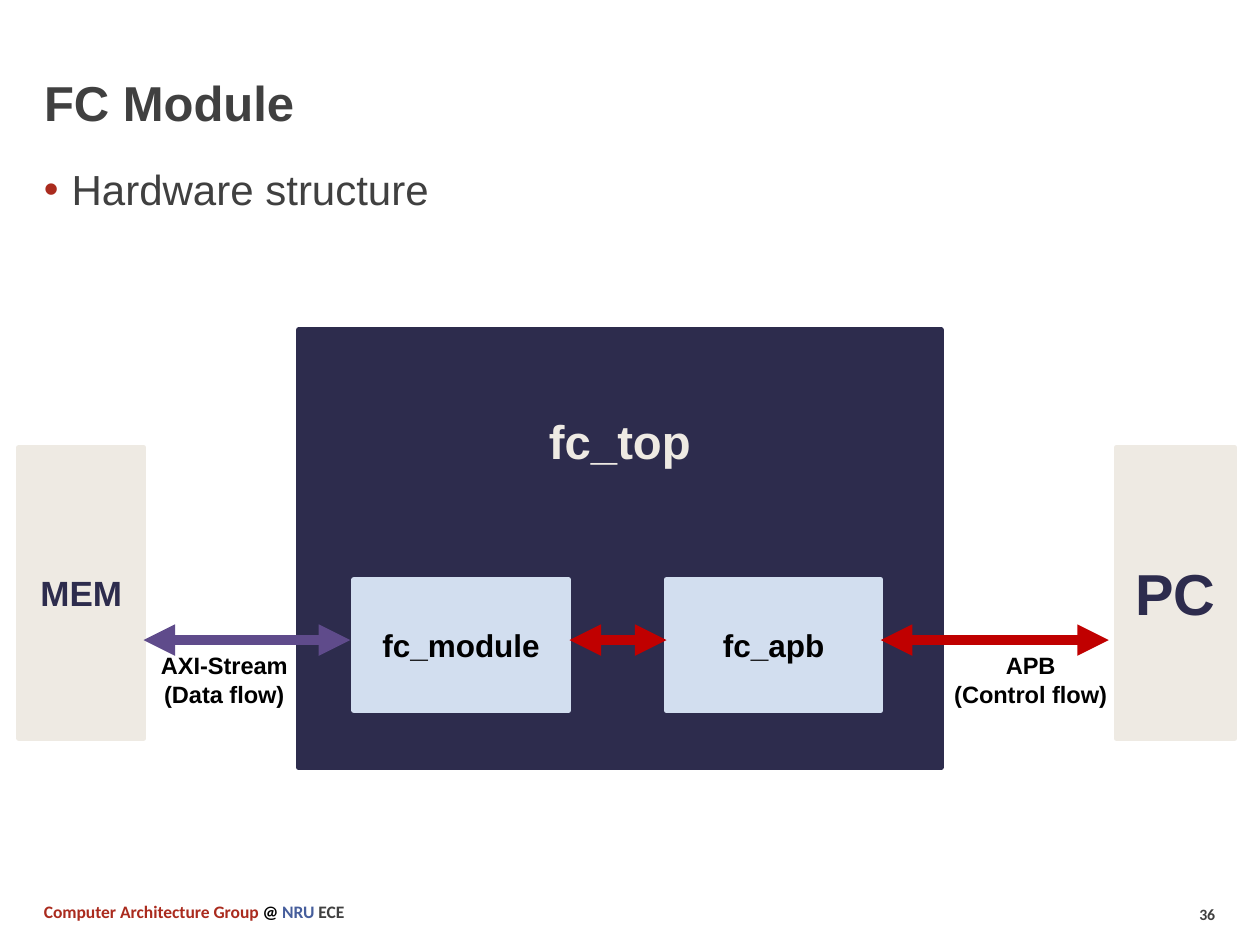
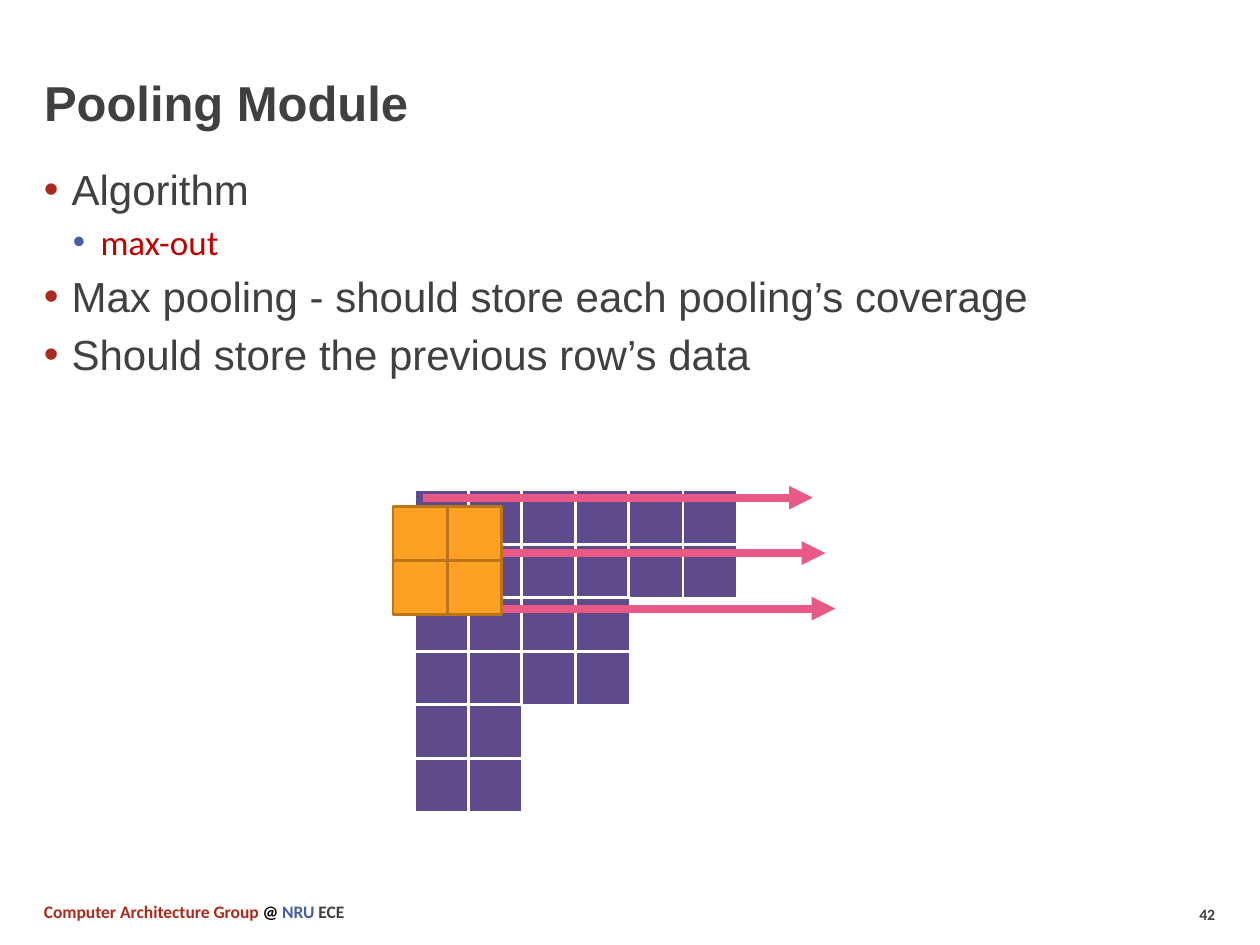
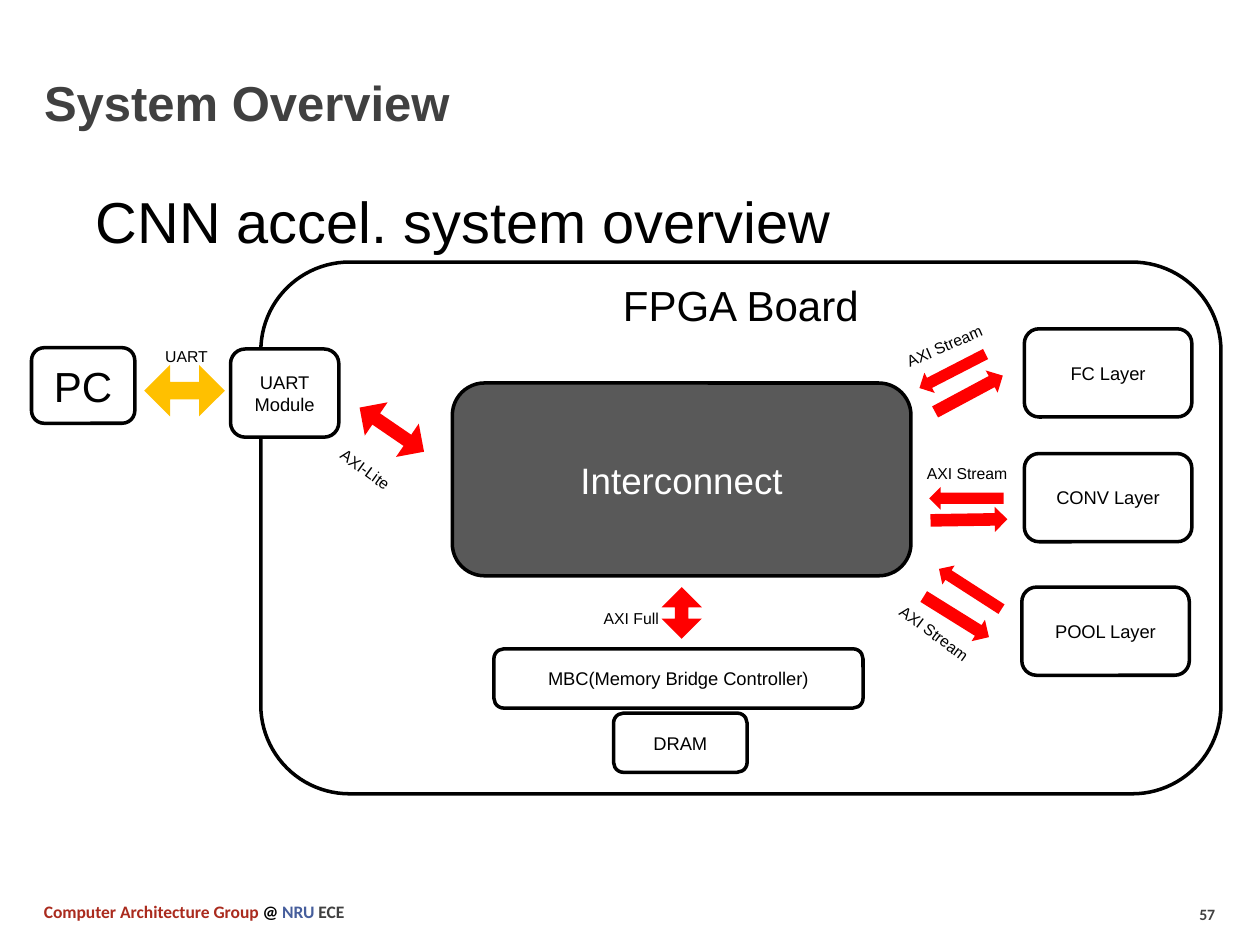
from dataclasses import dataclass

from lxml.etree import SubElement
from pptx import Presentation
from pptx.dml.color import RGBColor
from pptx.enum.shapes import MSO_CONNECTOR, MSO_SHAPE
from pptx.enum.text import MSO_ANCHOR, PP_ALIGN
from pptx.oxml.ns import qn
from pptx.util import Emu, Pt


@dataclass(frozen=True)
class Theme:
    # Colours
    ink: str = "404040"
    black: str = "000000"
    white: str = "FFFFFF"
    brick: str = "AA2B1E"
    blue: str = "465E9C"
    navy: str = "2D2C4D"
    cream: str = "EEEAE3"
    sky: str = "D2DEEF"
    purple: str = "5F4B8B"
    crimson: str = "C00000"
    pink: str = "E95985"
    orange: str = "FDA023"
    brown: str = "BB761A"
    grey: str = "595959"
    red: str = "FF0000"
    amber: str = "FFC000"
    # Fonts and type sizes
    head: str = "Arial"
    small: str = "Calibri"
    title: int = 28
    body: int = 24
    sub: int = 20
    big: int = 33
    footer: int = 10
    page: int = 9
    flow: float = 13.5
    block: float = 10.5
    tag: int = 9


T = Theme()
PX = 9144  # 100 px to the inch


def box(s, kind, at, text="", size=T.body, color=T.black, bold=False, fill=None,
        line=None, weight=2, rot=0, anchor=MSO_ANCHOR.MIDDLE, align=PP_ALIGN.CENTER):
    """Add a preset shape, or a text box when kind is None."""
    at = [Emu(v * PX) for v in at]
    if kind is None:
        sp = s.shapes.add_textbox(*at)
    else:
        sp = s.shapes.add_shape(kind, *at)
        sp.shadow.inherit = False
        if line:
            sp.line.color.rgb = RGBColor.from_string(line)
            sp.line.width = Pt(weight)
        else:
            sp.line.fill.background()
        if fill:
            sp.fill.solid()
            sp.fill.fore_color.rgb = RGBColor.from_string(fill)
        else:
            sp.fill.background()
    sp.rotation = rot
    tf = sp.text_frame
    tf.word_wrap = True
    tf.vertical_anchor = anchor
    for i, words in enumerate(text.split("\n") if text else []):
        p = tf.add_paragraph() if i else tf.paragraphs[0]
        p.alignment = align
        r = p.add_run()
        r.text = words
        r.font.name, r.font.size, r.font.bold = T.head, Pt(size), bold
        r.font.color.rgb = RGBColor.from_string(color)
    return sp


def arrow(s, x1, x2, y, color, weight, ends):
    """Add a level line with triangles at the given ends."""
    c = s.shapes.add_connector(MSO_CONNECTOR.STRAIGHT,
                               *[Emu(v * PX) for v in (x1, y, x2, y)])
    c.line.color.rgb = RGBColor.from_string(color)
    c.line.width = Pt(weight)
    for end in ends:
        SubElement(c.line._get_or_add_ln(), qn(f"a:{end}"), type="triangle")
    SubElement(c._element.spPr, qn("a:effectLst"))


prs = Presentation()
prs.slide_width, prs.slide_height = Emu(1000 * PX), Emu(750 * PX)

PAGES = [
    ("FC Module", "36", [(0, "Hardware structure")]),
    ("Pooling Module", "42", [
        (0, "Algorithm"),
        (1, "max-out"),
        (0, "Max pooling - should store each pooling’s coverage"),
        (0, "Should store the previous row’s data")]),
    ("System Overview", "57", []),
]
FOOTER = [("Computer Architecture Group ", T.brick), ("@ ", T.black),
          ("NRU ", T.blue), ("ECE", T.ink)]
# Font, size, text colour, bullet colour, left margin, space before
LEVELS = [(T.head, T.body, T.ink, T.brick, 22, 4.5),
          (T.small, T.sub, T.crimson, T.blue, 45, 3.8)]

# Title, footer, page number and bullets of every slide
for title, number, bullets in PAGES:
    s = prs.slides.add_slide(prs.slide_layouts[5])
    sp = s.shapes.title
    sp.left, sp.top, sp.width, sp.height = [Emu(v * PX) for v in (25, 17, 925, 92)]
    tf = sp.text_frame
    tf.vertical_anchor = MSO_ANCHOR.BOTTOM
    p = tf.paragraphs[0]
    p.alignment = PP_ALIGN.LEFT
    r = p.add_run()
    r.text = title
    r.font.name, r.font.size, r.font.bold = T.head, Pt(T.title), True
    r.font.color.rgb = RGBColor.from_string(T.ink)

    for at, runs, size in [((25, 710, 504, 27), FOOTER, T.footer),
                           ((942, 713, 67, 25), [(number, T.ink)], T.page)]:
        p = box(s, None, at, anchor=MSO_ANCHOR.TOP).text_frame.paragraphs[0]
        for words, color in runs:
            r = p.add_run()
            r.text = words
            r.font.name, r.font.size, r.font.bold = T.small, Pt(size), True
            r.font.color.rgb = RGBColor.from_string(color)

    if bullets:
        tf = box(s, None, (25, 125, 950, 81 if len(bullets) == 1 else 567),
                 anchor=MSO_ANCHOR.TOP).text_frame
    for i, (level, words) in enumerate(bullets):
        font, size, color, dot, margin, before = LEVELS[level]
        p = tf.add_paragraph() if i else tf.paragraphs[0]
        p.level = level
        p.space_before = Pt(before)
        pPr = p._p.get_or_add_pPr()
        pPr.set("marL", str(margin * PX))
        pPr.set("indent", str(-22 * PX))
        SubElement(SubElement(pPr, qn("a:buClr")), qn("a:srgbClr"), val=dot)
        SubElement(pPr, qn("a:buFont"), typeface=T.head)
        SubElement(pPr, qn("a:buChar"), char="•")
        r = p.add_run()
        r.text = words
        r.font.name, r.font.size = font, Pt(size)
        r.font.color.rgb = RGBColor.from_string(color)

fc, pooling, system = prs.slides

# FC module: blocks
sp = box(fc, MSO_SHAPE.RECTANGLE, (237, 262, 510, 347), "fc_top", 27, T.cream, True,
         T.navy, T.navy, 3, anchor=MSO_ANCHOR.TOP)
sp.text_frame.margin_top = Emu(65 * PX)
for at, name, size, color, fill in [
        ((281, 460, 170, 104), "fc_module", 18, T.black, T.sky),
        ((529, 460, 170, 104), "fc_apb", 18, T.black, T.sky),
        ((886, 355, 94, 231), "PC", T.big, T.navy, T.cream),
        ((15, 355, 99, 231), "MEM", T.sub, T.navy, T.cream)]:
    box(fc, MSO_SHAPE.RECTANGLE, at, name, size, color, True, fill, fill, 3)

# FC module: flows
for x1, x2, color in [(452, 529, T.crimson), (114, 278, T.purple), (699, 880, T.crimson)]:
    arrow(fc, x1, x2, 508, color, 6, ("headEnd", "tailEnd"))
for x, w, text in [(109, 138, "AXI-Stream\n(Data flow)"), (733, 170, "APB\n(Control flow)")]:
    box(fc, None, (x, 512, w, 56), text, T.flow, bold=True, anchor=MSO_ANCHOR.TOP)

# Pooling: input cells, row scans, then the 2 x 2 window on top
CELL, PITCH = 43, 42.6
for row, count in enumerate([6, 6, 4, 4, 2, 2]):
    for col in range(count):
        box(pooling, MSO_SHAPE.RECTANGLE,
            (329 + round(col * PITCH), 389 + round(row * PITCH), CELL, CELL),
            fill=T.purple, line=T.white, weight=1.5)
for i, x in enumerate([336, 346, 354]):
    arrow(pooling, x, x + 309, 395 + 44 * i, T.pink, 4.5, ("tailEnd",))
for row in range(2):
    for col in range(2):
        box(pooling, MSO_SHAPE.RECTANGLE,
            (312 + round(col * PITCH), 402 + round(row * PITCH), CELL, CELL),
            fill=T.orange, line=T.brown, weight=1.5)

# System: heading and board
sp = box(system, None, (69, 124, 862, 109), "CNN accel. system overview", T.big,
         align=PP_ALIGN.LEFT)
tf = sp.text_frame
tf.margin_left = tf.margin_right = Emu(7 * PX)
tf.margin_top = tf.margin_bottom = Emu(4 * PX)
tf.paragraphs[0].line_spacing = 0.9
box(system, MSO_SHAPE.ROUNDED_RECTANGLE, (207, 208, 762, 422), line=T.black)
box(system, None, (438, 217, 300, 48), "FPGA Board", anchor=MSO_ANCHOR.TOP)

# System: blocks
for at, name, size, color, fill in [
        ((359, 304, 364, 153), "Interconnect", 21, T.white, T.grey),
        ((25, 276, 82, 60), "PC", T.body, T.black, None),
        ((183, 277, 86, 70), "UART\nModule", T.block, T.black, T.white),
        ((392, 515, 293, 47), "MBC(Memory Bridge Controller)", T.block, T.black, T.white),
        ((487, 566, 106, 47), "DRAM", T.block, T.black, T.white),
        ((813, 261, 133, 70), "FC Layer", T.block, T.black, T.white),
        ((813, 360, 133, 70), "CONV Layer", T.block, T.black, T.white),
        ((811, 466, 133, 70), "POOL Layer", T.block, T.black, T.white)]:
    box(system, MSO_SHAPE.ROUNDED_RECTANGLE, at, name, size, color, fill=fill, line=T.black)

# System: two-way links
for at, rot, fill in [((126, 278, 41, 64), 270, T.amber),
                      ((525, 466, 32, 41), 0, T.red),
                      ((295, 310, 32, 62), 304.4, T.red)]:
    sp = box(system, MSO_SHAPE.UP_DOWN_ARROW, at, fill=fill, rot=rot)
    sp.adjustments[0], sp.adjustments[1] = 0.487, 0.336

# System: one-way streams to and from the layers
for at, rot in [((747, 265, 18, 59), 62.8), ((759, 282, 20, 61), 241.8),
                ((761, 438, 18, 59), 122.8), ((749, 459, 20, 61), 301.9),
                ((758, 366, 18, 59), 90), ((759, 382, 20, 61), 269.1)]:
    box(system, MSO_SHAPE.DOWN_ARROW, at, fill=T.red, rot=rot)

# System: link names
for x, y, w, name, rot in [(114, 270, 68, "UART", 0),
                           (253, 360, 74, "AXI-Lite", 35.8),
                           (464, 478, 74, "AXI Full", 0),
                           (707, 262, 85, "AXI Stream", 336.5),
                           (699, 490, 85, "AXI Stream", 36.5),
                           (725, 363, 85, "AXI Stream", 0)]:
    box(system, None, (x, y, w, 25), name, T.tag, rot=rot, anchor=MSO_ANCHOR.TOP)

prs.save("out.pptx")
